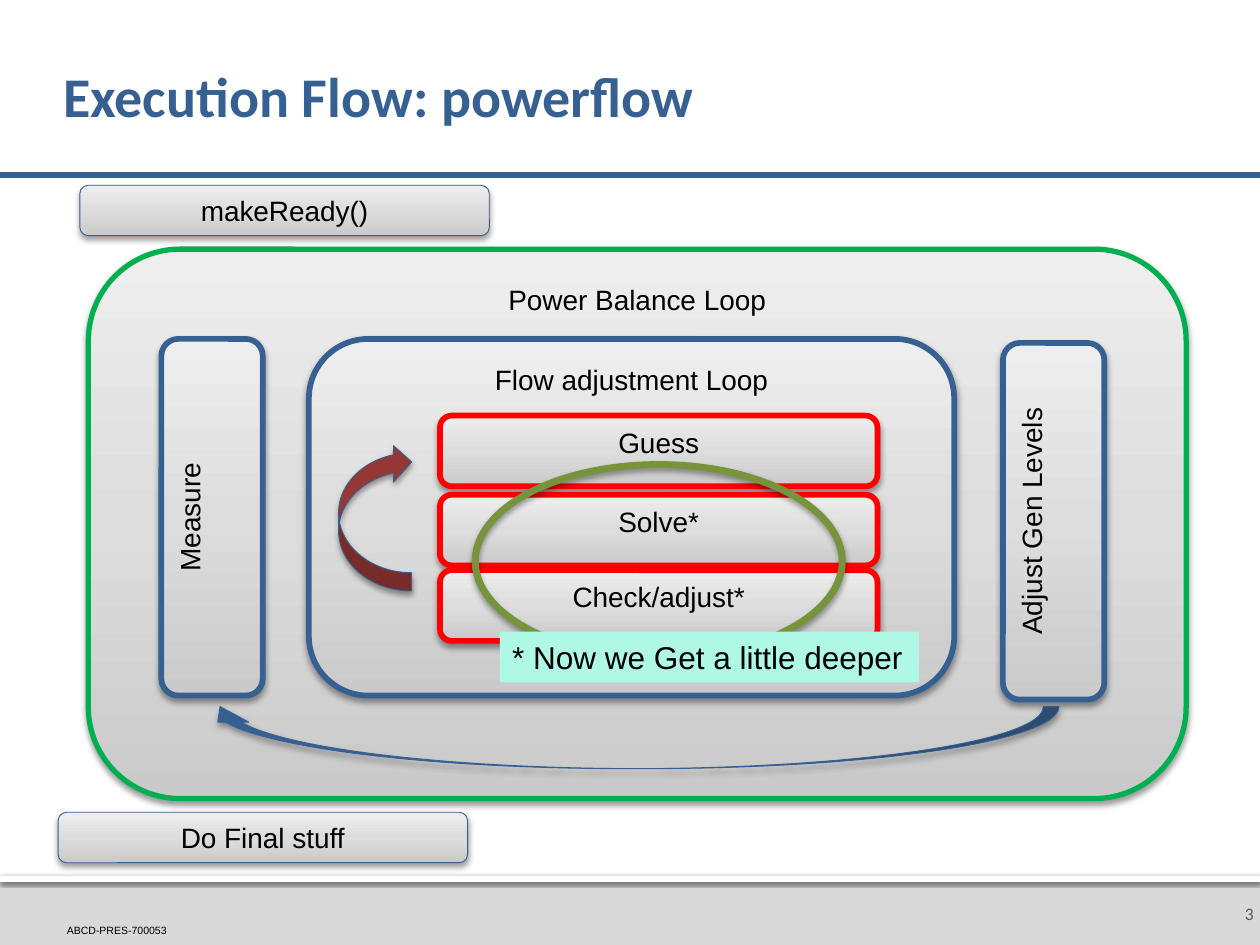
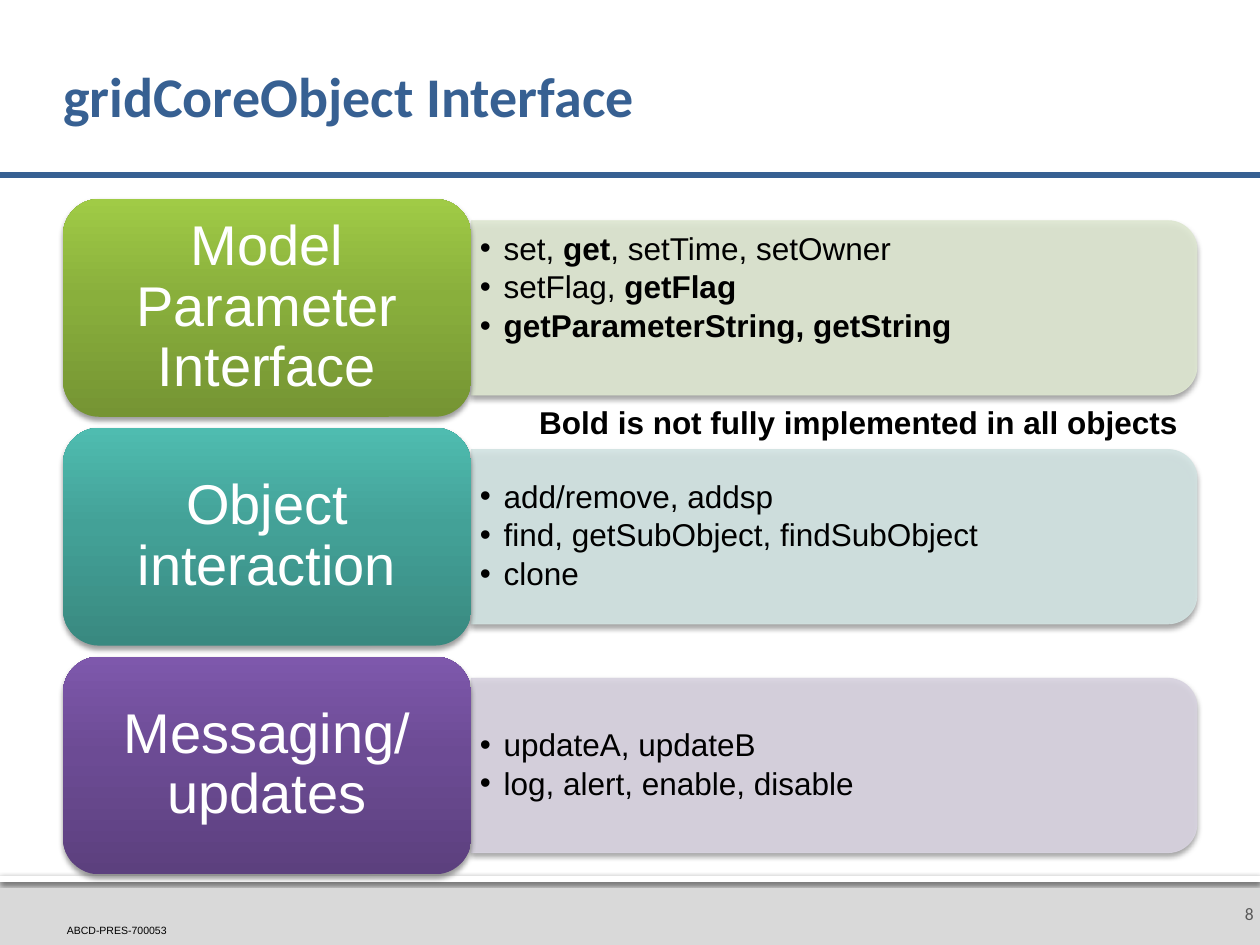
from dataclasses import dataclass
from copy import deepcopy
from typing import Any, NamedTuple, Optional

from lxml.etree import SubElement
from pptx import Presentation
from pptx.dml.color import RGBColor
from pptx.enum.shapes import MSO_CONNECTOR, MSO_SHAPE
from pptx.enum.text import MSO_ANCHOR, MSO_AUTO_SIZE, PP_ALIGN
from pptx.oxml.ns import qn
from pptx.util import Pt

# Colours
BLACK = RGBColor(0x00, 0x00, 0x00)
WHITE = RGBColor(0xFF, 0xFF, 0xFF)
BLUE = RGBColor(0x37, 0x60, 0x92)
GREEN = RGBColor(0x00, 0xB0, 0x50)
OLIVE = RGBColor(0x77, 0x93, 0x3C)
RED = RGBColor(0xFF, 0x00, 0x00)
MAROON = RGBColor(0x95, 0x37, 0x35)
MINT = RGBColor(0xAE, 0xF8, 0xE5)
BAND_GREY = RGBColor(0xD9, 0xD9, 0xD9)
NUMBER_GREY = RGBColor(0x59, 0x59, 0x59)


class Box(NamedTuple):
    x: float
    y: float
    w: float
    h: float

    def pts(self) -> list:
        return [Pt(v) for v in self]


class Shadow(NamedTuple):
    alpha: int
    blur: float
    dist: float


class Run(NamedTuple):
    text: str
    bold: bool = False


class Gradient(NamedTuple):
    bottom: RGBColor
    middle: RGBColor
    top: RGBColor
    mid_pos: float


SOFT = Shadow(38, 3.5, 2)
SILVER = Gradient(RGBColor(0xCA, 0xCA, 0xCA), RGBColor(0xDD, 0xDD, 0xDD),
                  RGBColor(0xEE, 0xEE, 0xEE), 0.5)
INSETS = (7.2, 3.6, 7.2, 3.6)


@dataclass
class Style:
    size: float = 16
    color: RGBColor = BLACK
    font: str = "Arial"
    align: PP_ALIGN = PP_ALIGN.LEFT
    anchor: MSO_ANCHOR = MSO_ANCHOR.TOP
    insets: tuple = INSETS
    spacing: float = 1.0
    after: float = 0
    wrap: bool = True
    bullet_indent: float = 0


@dataclass
class Stage:
    text: str
    box: Box
    line: RGBColor = BLUE
    width: float = 3.25
    anchor: MSO_ANCHOR = MSO_ANCHOR.TOP
    vertical: bool = False


@dataclass
class Topic:
    label: str
    gradient: Gradient
    tint: RGBColor
    items: list
    bottom_inset: float = 2.9


def apply(obj: Any, values: dict) -> None:
    for name, value in values.items():
        setattr(obj, name, value)


def write(sp: Any, paragraphs: list, st: Style) -> None:
    """Fill a shape with paragraphs, each a list of runs."""
    tf = sp.text_frame
    left, top, right, bottom = st.insets
    apply(tf, dict(auto_size=MSO_AUTO_SIZE.NONE, word_wrap=st.wrap,
                   vertical_anchor=st.anchor,
                   margin_left=Pt(left), margin_top=Pt(top),
                   margin_right=Pt(right), margin_bottom=Pt(bottom)))
    for i, runs in enumerate(paragraphs):
        p = tf.add_paragraph() if i else tf.paragraphs[0]
        apply(p, dict(alignment=st.align, line_spacing=st.spacing,
                      space_before=Pt(0), space_after=Pt(st.after)))
        if st.bullet_indent:
            pPr = p._p.get_or_add_pPr()
            pPr.set("marL", str(Pt(st.bullet_indent)))
            pPr.set("indent", str(-Pt(st.bullet_indent)))
            SubElement(pPr, qn("a:buChar")).set("char", "•")
        for run in runs:
            r = p.add_run()
            r.text = run.text
            apply(r.font, dict(name=st.font, size=Pt(st.size), bold=run.bold))
            r.font.color.rgb = st.color


def set_alpha(color_parent: Any, percent: int) -> None:
    rgb = color_parent.find(".//" + qn("a:srgbClr"))
    SubElement(rgb, qn("a:alpha")).set("val", str(percent * 1000))


def add_shadow(sp: Any, shadow: Shadow) -> None:
    effects = sp._element.spPr.find(qn("a:effectLst"))
    outer = SubElement(effects, qn("a:outerShdw"), blurRad=str(Pt(shadow.blur)),
                       dist=str(Pt(shadow.dist)), dir="5400000", rotWithShape="0")
    SubElement(outer, qn("a:srgbClr")).set("val", str(BLACK))
    set_alpha(outer, shadow.alpha)


def fill_gradient(sp: Any, g: Gradient) -> None:
    sp.fill.gradient()
    sp.fill.gradient_angle = 90
    stops = sp._element.spPr.find(".//" + qn("a:gsLst"))
    stops.insert(1, deepcopy(stops[0]))
    colors = (g.bottom, g.middle, g.top)
    for stop, color, pos in zip(sp.fill.gradient_stops, colors, (0, g.mid_pos, 1)):
        stop.color.rgb = color
        stop.position = pos


def add_shape(s: Any, kind: MSO_SHAPE, box: Box, fill: Any = None,
              line: Optional[RGBColor] = None, width: float = 0.5,
              shadow: Optional[Shadow] = None) -> Any:
    sp = s.shapes.add_shape(kind, *box.pts())
    sp.shadow.inherit = False
    if isinstance(fill, Gradient):
        fill_gradient(sp, fill)
    elif fill is None:
        sp.fill.background()
    else:
        sp.fill.solid()
        sp.fill.fore_color.rgb = fill
    if line is None:
        sp.line.fill.background()
    else:
        sp.line.color.rgb = line
        sp.line.width = Pt(width)
    if shadow:
        add_shadow(sp, shadow)
    return sp


def flip(sp: Any, *axes: str) -> None:
    for axis in axes:
        sp._element.spPr.find(qn("a:xfrm")).set(axis, "1")


def add_text(s: Any, box: Box, run: Run, st: Style) -> Any:
    sp = s.shapes.add_textbox(*box.pts())
    write(sp, [[run]], st)
    return sp


def place(sp: Any, box: Box) -> None:
    apply(sp, dict(zip(("left", "top", "width", "height"), box.pts())))


def add_base(prs: Any, layout: int, title: str, number: str) -> Any:
    """Start a slide with its title, rule and footer."""
    s = prs.slides.add_slide(prs.slide_layouts[layout])
    place(s.shapes.title, Box(36, 17.3, 648, 79.2))
    write(s.shapes.title, [[Run(title, True)]],
          Style(32, BLUE, "Calibri", anchor=MSO_ANCHOR.MIDDLE,
                insets=(0, 3.6, 3.6, 3.6), spacing=0.9))
    add_shape(s, MSO_SHAPE.RECTANGLE, Box(0, 500.4, 720, 39.6), BAND_GREY)
    add_shape(s, MSO_SHAPE.RECTANGLE, Box(0, 500.4, 720, 3.6), WHITE,
              shadow=Shadow(60, 2.5, 0.8))
    add_text(s, Box(38.2, 527.8, 69, 7.2), Run("ABCD-PRES-700053"),
             Style(6, anchor=MSO_ANCHOR.BOTTOM, insets=(0, 0, 0, 0), wrap=False))
    add_text(s, Box(694.8, 504, 25.2, 36), Run(number),
             Style(10, NUMBER_GREY, "Calibri", PP_ALIGN.RIGHT, MSO_ANCHOR.MIDDLE,
                   (7.2, 3.6, 3.6, 3.6)))
    rule = s.shapes.add_connector(MSO_CONNECTOR.STRAIGHT,
                                  Pt(-0.7), Pt(100), Pt(720), Pt(100))
    rule.line.color.rgb = BLUE
    rule.line.width = Pt(3)
    SubElement(rule._element.spPr, qn("a:effectLst"))
    return s


# Slide: execution flow
STAGES = [
    Stage("makeReady()", Box(45.6, 105.9, 234, 28.8), width=0.5,
          anchor=MSO_ANCHOR.BOTTOM),
    Stage("Power Balance Loop", Box(50.5, 142.4, 627.3, 313.9), GREEN, 3),
    Stage("Flow adjustment Loop", Box(176.5, 193.7, 368.8, 203.8)),
    *(Stage(text, Box(251.4, y, 250, 40.4), RED) for text, y in
      (("Guess", 237.5), ("Solve*", 282.7), ("Check/adjust*", 325.8))),
    Stage("Do Final stuff", Box(33.2, 464.2, 234, 28.8), width=0.5,
          anchor=MSO_ANCHOR.BOTTOM),
    Stage("Measure", Box(92.2, 193.7, 57.9, 203.8), vertical=True),
    Stage("Adjust Gen Levels", Box(573.1, 196, 57.9, 203.8), vertical=True),
]


def add_stage(s: Any, stage: Stage) -> None:
    sp = add_shape(s, MSO_SHAPE.ROUNDED_RECTANGLE, stage.box, SILVER,
                   stage.line, stage.width, SOFT)
    write(sp, [[Run(stage.text)]],
          Style(align=PP_ALIGN.CENTER, anchor=stage.anchor))
    if stage.vertical:
        sp.text_frame._txBody.bodyPr.set("vert", "vert270")


def build_flow(prs: Any) -> None:
    s = add_base(prs, 5, "Execution Flow: powerflow", "3")
    for stage in STAGES:
        add_stage(s, stage)
    # Loop arrows
    inner = add_shape(s, MSO_SHAPE.CURVED_LEFT_ARROW, Box(193.5, 253.6, 41.8, 84.2),
                      MAROON, BLUE, shadow=SOFT)
    flip(inner, "flipH", "flipV")
    outer = add_shape(s, MSO_SHAPE.CURVED_UP_ARROW, Box(116.9, 403.8, 488.2, 35.5),
                      BLUE, BLUE, shadow=SOFT)
    flip(outer, "flipH")
    # Highlight and note
    add_shape(s, MSO_SHAPE.OVAL, Box(271.6, 265.5, 209.7, 110.4),
              line=OLIVE, width=4, shadow=SOFT)
    note = add_text(s, Box(285.6, 360.9, 239.6, 29), Run("* Now we Get a little deeper"),
                    Style(18, wrap=False))
    note.fill.solid()
    note.fill.fore_color.rgb = MINT


# Slide: object interface
TOPICS = [
    Topic("Model Parameter Interface",
          Gradient(RGBColor(0x75, 0x94, 0x33), RGBColor(0x89, 0xAF, 0x3C),
                   RGBColor(0xA0, 0xCB, 0x46), 0.55),
          RGBColor(0xDE, 0xE7, 0xD1),
          [[Run("set, "), Run("get", True), Run(", setTime, setOwner")],
           [Run("setFlag, "), Run("getFlag", True)],
           [Run("getParameterString, getString", True)]], bottom_inset=25),
    Topic("Object interaction",
          Gradient(RGBColor(0x39, 0x89, 0x80), RGBColor(0x43, 0xA1, 0x97),
                   RGBColor(0x4F, 0xBC, 0xB0), 0.55),
          RGBColor(0xD2, 0xE3, 0xE2),
          [[Run("add/remove, addsp")], [Run("find, getSubObject, findSubObject")],
           [Run("clone")]]),
    Topic("Messaging/ updates",
          Gradient(RGBColor(0x5C, 0x40, 0x7E), RGBColor(0x6C, 0x4B, 0x94),
                   RGBColor(0x7E, 0x58, 0xAC), 0.55),
          RGBColor(0xD8, 0xD3, 0xE0),
          [[Run("updateA, updateB")], [Run("log, alert, enable, disable")]]),
]
LABEL = Box(36, 113.7, 233.3, 124.5)
PANEL_W, PANEL_H, PITCH = 414.7, 99.6, 130.75


def add_topic(s: Any, body: Any, topic: Topic, top: float) -> None:
    left, middle = LABEL.x + LABEL.w, top + LABEL.h / 2
    # Panel, turned so that its round corners face right
    panel = add_shape(s, MSO_SHAPE.ROUND_2_SAME_RECTANGLE,
                      Box(left + (PANEL_W - PANEL_H) / 2, middle - PANEL_W / 2,
                          PANEL_H, PANEL_W), topic.tint, topic.tint,
                      shadow=Shadow(38, 3.1, 2))
    panel.rotation = 90
    for part in ("a:solidFill", "a:ln"):
        set_alpha(panel._element.spPr.find(qn(part)), 90)
    # List, raised above its panel
    place(body, Box(left, middle - 45, 409.7, 90))
    write(body, topic.items,
          Style(18, anchor=MSO_ANCHOR.MIDDLE, insets=(5, 2.9, 5, topic.bottom_inset),
                spacing=0.9, after=2.7, bullet_indent=13.5))
    s.shapes._spTree.append(body._element)
    # Label
    label = add_shape(s, MSO_SHAPE.ROUNDED_RECTANGLE, LABEL._replace(y=top),
                      topic.gradient, shadow=Shadow(38, 3.1, 2))
    write(label, [[Run(topic.label)]],
          Style(32, WHITE, align=PP_ALIGN.CENTER, anchor=MSO_ANCHOR.MIDDLE,
                insets=(9.4, 4.8, 9.4, 4.8), spacing=0.9))


def build_interface(prs: Any) -> None:
    s = add_base(prs, 4, "gridCoreObject Interface", "8")
    bodies = [ph for ph in s.placeholders if ph.placeholder_format.idx]
    for i, (body, topic) in enumerate(zip(bodies, TOPICS)):
        add_topic(s, body, topic, LABEL.y + i * PITCH)
    for spare in bodies[len(TOPICS):]:
        spare._element.getparent().remove(spare._element)
    add_text(s, Box(301, 226.8, 383, 29),
             Run("Bold is not fully implemented in all objects", True),
             Style(18, wrap=False))


def main() -> None:
    prs = Presentation()
    prs.slide_width, prs.slide_height = Pt(720), Pt(540)
    build_flow(prs)
    build_interface(prs)
    prs.save("out.pptx")


if __name__ == "__main__":
    main()
